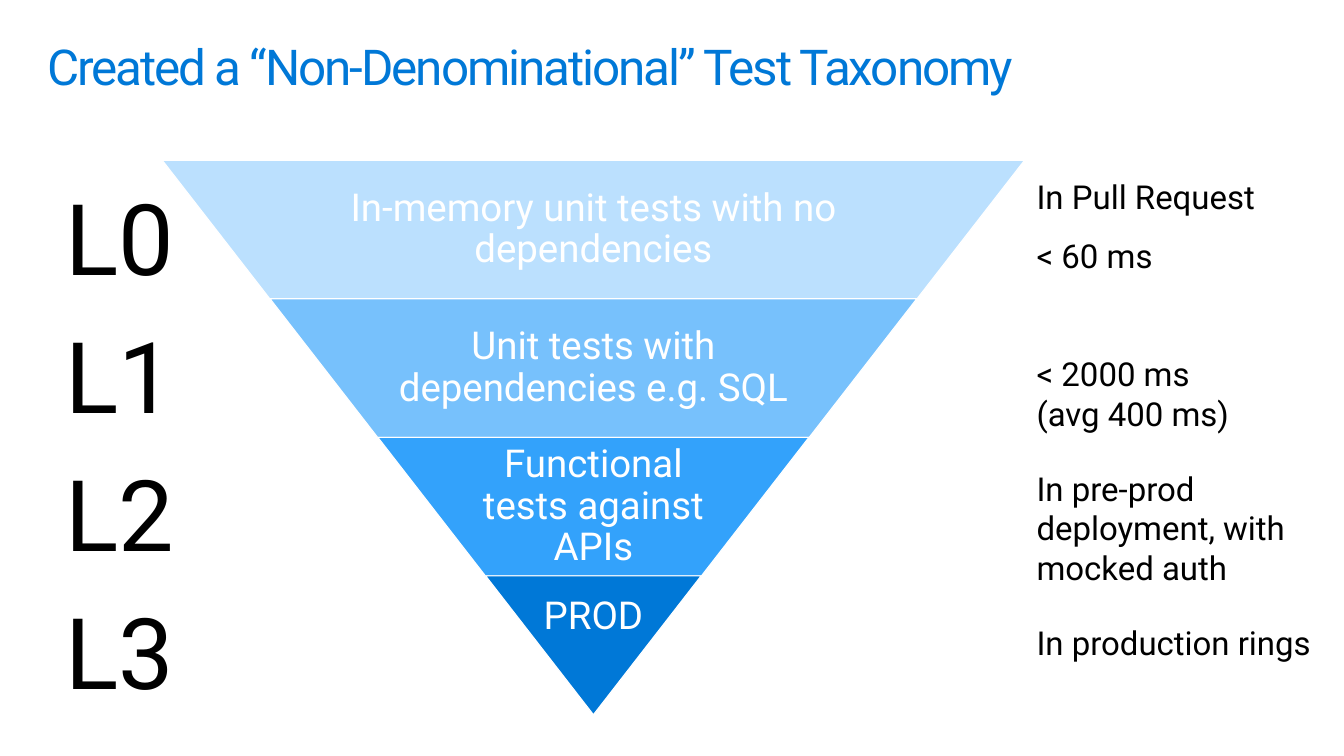
from pptx import Presentation
from pptx.dml.color import RGBColor
from pptx.enum.shapes import MSO_SHAPE
from pptx.enum.text import MSO_ANCHOR, PP_ALIGN
from pptx.util import Cm, Pt

BLACK = RGBColor(0x00, 0x00, 0x00)
WHITE = RGBColor(0xFF, 0xFF, 0xFF)
BLUE = RGBColor(0x00, 0x78, 0xD7)
AZURE = RGBColor(0x33, 0xA2, 0xFB)
SKY = RGBColor(0x77, 0xC1, 0xFC)
PALE = RGBColor(0xBB, 0xE0, 0xFE)

deck = Presentation()
deck.slide_width, deck.slide_height = Cm(34.54), Cm(19.43)
slide = deck.slides.add_slide(deck.slide_layouts[6])


def add_text(text, left, top, width, height, size, color, pad=0):
    box = slide.shapes.add_textbox(Cm(left), Cm(top), Cm(width), Cm(height))
    frame = box.text_frame
    frame.word_wrap = True
    frame.margin_left = frame.margin_right = Cm(pad)
    frame.margin_top = frame.margin_bottom = Cm(pad)
    frame.text = text
    for para in frame.paragraphs:
        for run in para.runs:
            run.font.name = "Roboto"
            run.font.size = Pt(size)
            run.font.color.rgb = color
    return frame


title = add_text("Created a “Non-Denominational” Test Taxonomy",
                 1.22, 0.64, 32.13, 2.08, 36, BLUE)
title.margin_top = Cm(0.46)
head = title.paragraphs[0]
head.line_spacing = 0.9
head.runs[0].font._element.set("spc", "-150")

levels = add_text("L0\nL1\nL2\nL3", 1.68, 4.55, 4.29, 13.82, 72, BLACK)
for para in levels.paragraphs:
    para.space_after = Pt(14)

MID, TOP, STEP, TIP = 15.25, 4.12, 3.56, 5.54
tiers = [
    ("In-memory unit tests with no dependencies", PALE, 14.4, 0.1),
    ("Unit tests with dependencies e.g. SQL", SKY, 10.8, 0.1),
    ("Functional tests against APIs", AZURE, 7.2, 0.1),
    ("PROD", BLUE, TIP, 1.52),
]
for row, (text, color, span, foot) in enumerate(tiers):
    width = TIP * (len(tiers) - row)
    top = TOP + STEP * row
    tier = slide.shapes.add_shape(MSO_SHAPE.TRAPEZOID, Cm(MID - width / 2),
                                  Cm(top), Cm(width), Cm(STEP))
    tier.adjustments[0] = 0.776
    tier.rotation = 180
    tier.shadow.inherit = False
    tier.fill.solid()
    tier.fill.fore_color.rgb = color
    tier.line.color.rgb = WHITE
    tier.line.width = Pt(0.85)
    label = add_text(text, MID - span / 2, top, span, STEP, 28, WHITE, 0.1)
    label.margin_bottom = Cm(foot)
    label.vertical_anchor = MSO_ANCHOR.MIDDLE
    label.paragraphs[0].alignment = PP_ALIGN.CENTER
    label.paragraphs[0].line_spacing = 0.9

notes = [
    ("In Pull Request", 0, 14),
    ("< 60 ms", 0, 57),
    ("< 2000 ms\v(avg 400 ms)", 0, 14),
    ("In pre-prod deployment, with mocked auth", 12, 14),
    ("In production rings", 12, 14),
]
side = add_text("\n".join(note[0] for note in notes),
                26.64, 4.55, 7.19, 12.57, 24, BLACK)
for para, (text, above, below) in zip(side.paragraphs, notes):
    para.space_before = Pt(above)
    para.space_after = Pt(below)

deck.save("out.pptx")
